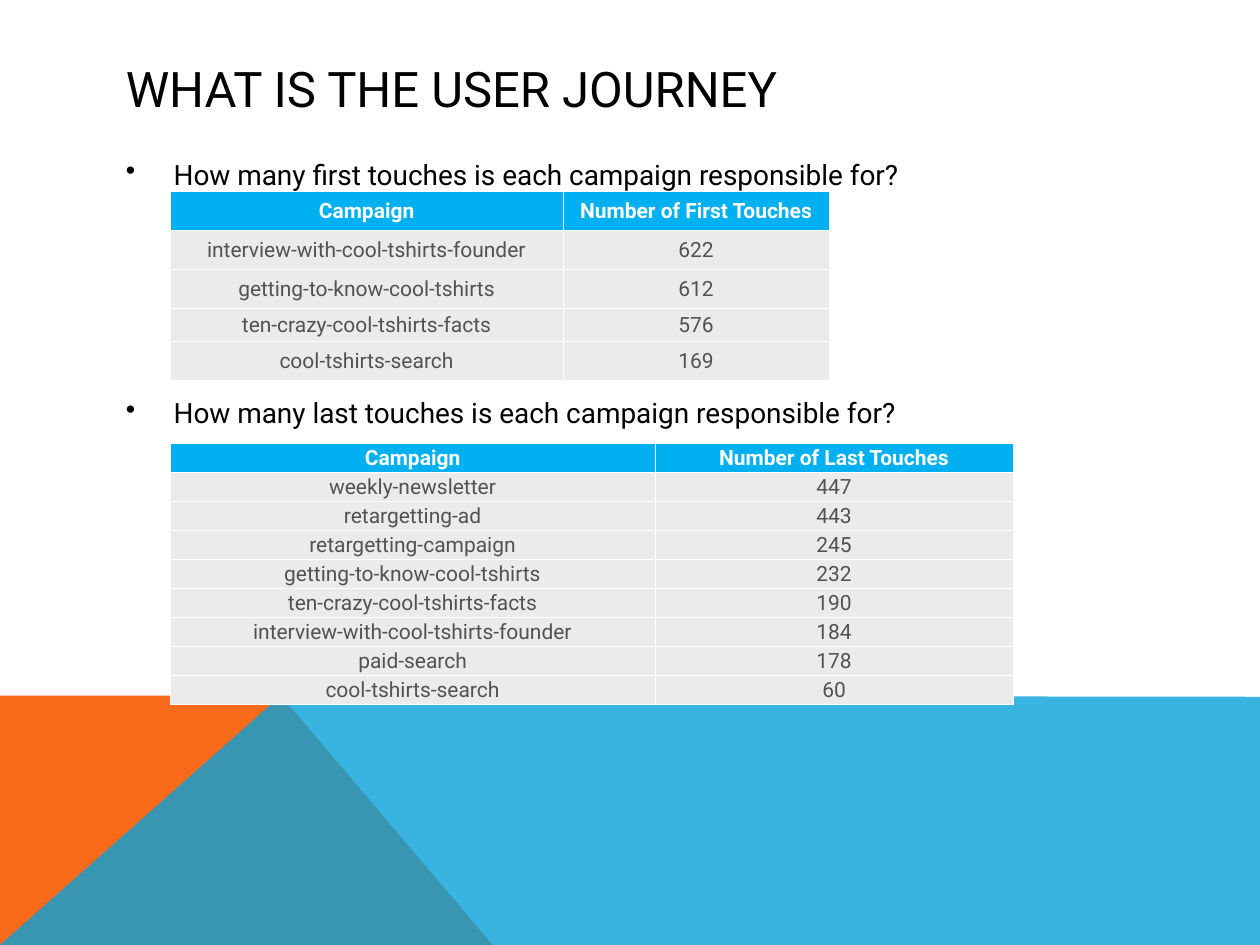
from dataclasses import dataclass

from lxml.etree import SubElement
from pptx import Presentation
from pptx.dml.color import RGBColor as RGB
from pptx.enum.text import MSO_ANCHOR as Anchor, PP_ALIGN as Align
from pptx.oxml import parse_xml
from pptx.oxml.ns import nsdecls, qn
from pptx.slide import Slide
from pptx.util import Inches, Pt

FONT = "Roboto"
BLACK = RGB(0x00, 0x00, 0x00)
WHITE = RGB(0xFF, 0xFF, 0xFF)
ORANGE = RGB(0xF9, 0x6A, 0x1B)
BLUE = RGB(0x08, 0xA1, 0xD9)
HEAD = RGB(0x00, 0xB0, 0xF0)
GREY = RGB(0xEB, 0xEB, 0xEB)
INK = RGB(0x52, 0x52, 0x52)


@dataclass
class Band:
    points: list[tuple[float, float]]
    color: RGB
    alpha: int = 100


@dataclass
class Grid:
    top: float
    cols: list[float]
    rows: list[float]
    pad: tuple[float, float]
    cells: list[tuple[str, str]]


BANDS = [
    Band([(0, 7.5), (0, 5.52), (2.23, 5.52), (3.91, 7.5)], ORANGE),
    Band([(0, 7.5), (2.23, 5.52), (10, 5.53), (10, 7.5)], BLUE, 80),
]

FIRST = Grid(1.52, [3.12, 2.11], [0.31, 0.31, 0.31, 0.26, 0.31], (0.06, 0.03), [
    ("Campaign", "Number of First Touches"),
    ("interview-with-cool-tshirts-founder", "622"),
    ("getting-to-know-cool-tshirts", "612"),
    ("ten-crazy-cool-tshirts-facts", "576"),
    ("cool-tshirts-search", "169"),
])

LAST = Grid(3.52, [3.85, 2.84], [0.23] * 9, (0.03, 0.01), [
    ("Campaign", "Number of Last Touches"),
    ("weekly-newsletter", "447"),
    ("retargetting-ad", "443"),
    ("retargetting-campaign", "245"),
    ("getting-to-know-cool-tshirts", "232"),
    ("ten-crazy-cool-tshirts-facts", "190"),
    ("interview-with-cool-tshirts-founder", "184"),
    ("paid-search", "178"),
    ("cool-tshirts-search", "60"),
])

ASKS = [
    "How many first touches is each campaign responsible for?",
    "How many last touches is each campaign responsible for?",
]


def style(para, size: int, color: RGB, bold: bool = False) -> None:
    font = para.font
    font.name, font.size, font.bold = FONT, Pt(size), bold
    font.color.rgb = color


def add_band(slide: Slide, band: Band) -> None:
    start, *rest = [(Inches(x), Inches(y)) for x, y in band.points]
    pen = slide.shapes.build_freeform(*start)
    pen.add_line_segments(rest)
    shape = pen.convert_to_shape()
    shape.shadow.inherit = False
    shape.line.fill.background()
    shape.fill.solid()
    shape.fill.fore_color.rgb = band.color
    if band.alpha < 100:
        color = shape.fill._xPr.find(".//" + qn("a:srgbClr"))
        SubElement(color, qn("a:alpha"), val=str(band.alpha * 1000))


def add_frame(slide: Slide, top: float, height: float):
    box = slide.shapes.add_textbox(Inches(0.9), Inches(top), Inches(8.22), Inches(height))
    box.text_frame.word_wrap = True
    return box.text_frame


def add_title(slide: Slide, text: str) -> None:
    frame = add_frame(slide, 0.4, 0.6)
    frame.vertical_anchor = Anchor.MIDDLE
    frame.text = text
    style(frame.paragraphs[0], 28, BLACK)


def add_asks(slide: Slide, asks: list[str]) -> None:
    frame = add_frame(slide, 1.2, 3.91)
    frame.text = "\n".join(asks)
    for para in frame.paragraphs:
        style(para, 16, BLACK)
        props = para._p.get_or_add_pPr()
        props.set("marL", str(Inches(0.38)))
        props.set("indent", str(-Inches(0.38)))
        mark = parse_xml(f'<a:buChar {nsdecls("a")} char="•"/>')
        props.insert_element_before(mark, "a:tabLst", "a:defRPr", "a:extLst")
    frame.paragraphs[1].space_before = Pt(117)


def add_lines(cell) -> None:
    props = cell._tc.get_or_add_tcPr()
    for spot, side in enumerate("LRTB"):
        line = parse_xml(
            f'<a:ln{side} {nsdecls("a")} w="{Pt(0.6)}"><a:solidFill>'
            f'<a:srgbClr val="{WHITE}"/></a:solidFill></a:ln{side}>'
        )
        props.insert(spot, line)


def fill_cell(cell, text: str, pad: tuple[float, float], head: bool) -> None:
    cell.margin_left = cell.margin_right = Inches(pad[0])
    cell.margin_top = cell.margin_bottom = Inches(pad[1])
    cell.vertical_anchor = Anchor.MIDDLE
    cell.fill.solid()
    cell.fill.fore_color.rgb = HEAD if head else GREY
    cell.text = text
    para = cell.text_frame.paragraphs[0]
    para.alignment = Align.CENTER
    style(para, 12, WHITE if head else INK, head)
    add_lines(cell)


def add_grid(slide: Slide, grid: Grid) -> None:
    table = slide.shapes.add_table(
        len(grid.rows), len(grid.cols), Inches(1.35), Inches(grid.top),
        Inches(sum(grid.cols)), Inches(sum(grid.rows)),
    ).table
    for col, width in zip(table.columns, grid.cols):
        col.width = Inches(width)
    for row, height in zip(table.rows, grid.rows):
        row.height = Inches(height)
    for r, texts in enumerate(grid.cells):
        for c, text in enumerate(texts):
            fill_cell(table.cell(r, c), text, grid.pad, r == 0)


def main() -> None:
    """Build the user journey slide and save it."""
    deck = Presentation()
    deck.slide_width, deck.slide_height = Inches(10), Inches(7.5)
    slide = deck.slides.add_slide(deck.slide_layouts[6])
    for band in BANDS:
        add_band(slide, band)
    add_title(slide, "WHAT IS THE USER JOURNEY")
    add_asks(slide, ASKS)
    for grid in (FIRST, LAST):
        add_grid(slide, grid)
    deck.save("out.pptx")


if __name__ == "__main__":
    main()
